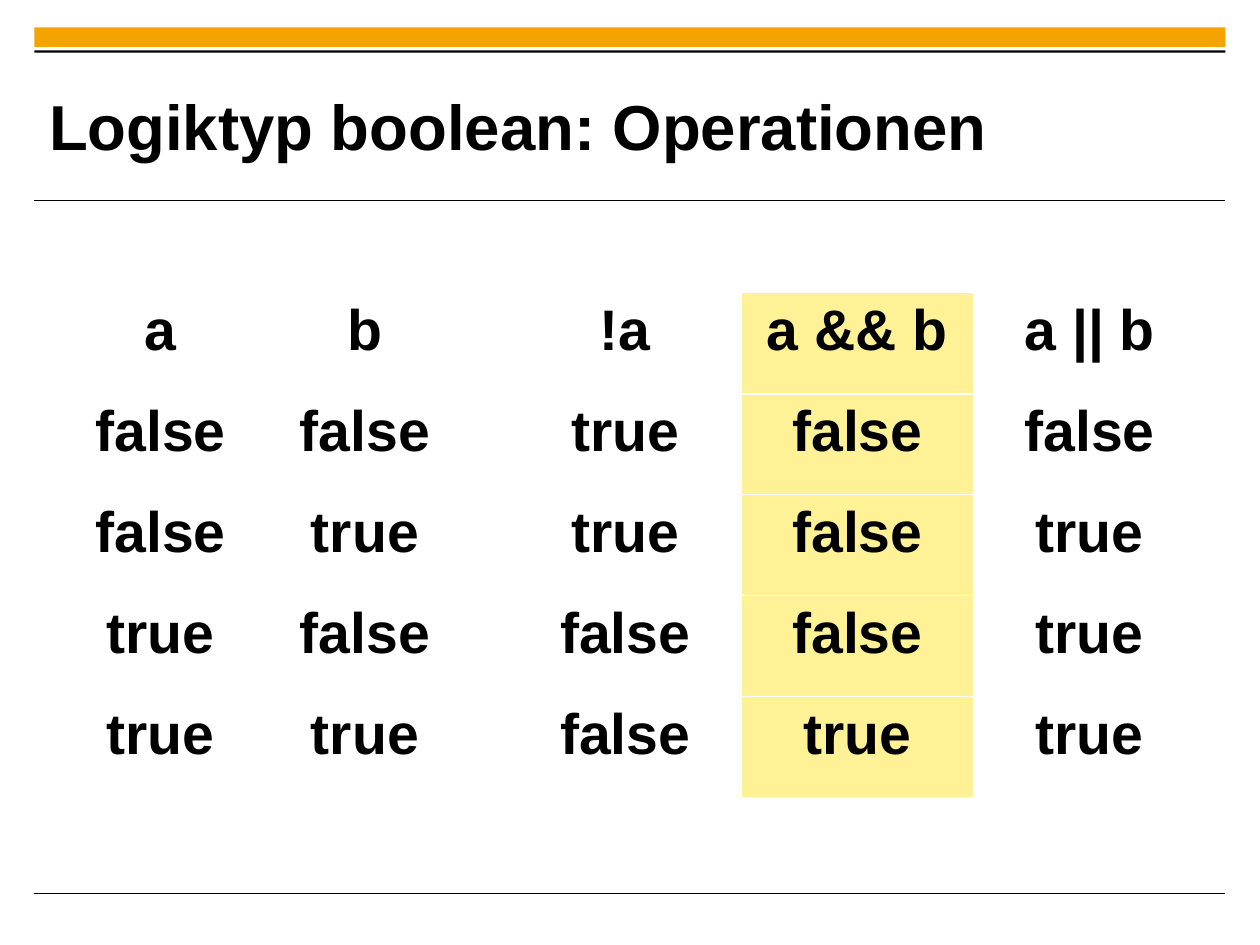
"""Build the slide on the operations of the logic type boolean."""
from dataclasses import dataclass

from lxml import etree
from pptx import Presentation
from pptx import util as u
from pptx.dml import color
from pptx.enum import shapes, text
from pptx.oxml import ns

COLORS = {"accent": "F5A300", "ink": "000000", "paper": "FFFFFF", "highlight": "FFF296"}
CM_PER_INCH = 2.54
SLIDE_WIDTH, SLIDE_HEIGHT = 28 / CM_PER_INCH, 21 / CM_PER_INCH
LEFT, WIDTH = 0.3, 10.42
TABLE_WIDTH, TABLE_HEIGHT = 10.16, 4.42
THIN, THICK = 0.45, 1.47
HIGHLIGHTED = "a && b"
TRUTH_TABLE = [
    ["a", "b", "!a", HIGHLIGHTED, "a || b"],
    ["false", "false", "true", "false", "false"],
    ["false", "true", "true", "false", "true"],
    ["true", "false", "false", "false", "true"],
    ["true", "true", "false", "true", "true"],
]


@dataclass
class Band:
    top: float
    height: float
    color: str


BANDS = [Band(0.24, 0.17, "accent"), Band(0.44, 0.02, "ink")]
RULE_TOPS = [1.75, 7.82]


def rgb(name: str) -> color.RGBColor:
    return color.RGBColor.from_string(COLORS[name])


def apply(target, values: dict) -> None:
    for attribute, value in values.items():
        setattr(target, attribute, value)


def style_font(font, size: float) -> None:
    apply(font, {"name": "Arial", "size": u.Pt(size), "bold": True})
    font.color.rgb = rgb("ink")


def draw_band(slide, band: Band) -> None:
    bar = slide.shapes.add_shape(
        shapes.MSO_SHAPE.RECTANGLE, u.Inches(LEFT), u.Inches(band.top),
        u.Inches(WIDTH), u.Inches(band.height))
    bar.shadow.inherit = False
    bar.fill.solid()
    bar.fill.fore_color.rgb = rgb(band.color)
    bar.line.fill.background()


def draw_rule(slide, top: float) -> None:
    rule = slide.shapes.add_connector(
        shapes.MSO_CONNECTOR.STRAIGHT, u.Inches(LEFT), u.Inches(top),
        u.Inches(LEFT + WIDTH), u.Inches(top))
    rule.line.color.rgb = rgb("ink")
    rule.line.width = u.Pt(0.6)
    etree.SubElement(rule._element.spPr, ns.qn("a:effectLst"))


def draw_heading(slide) -> None:
    heading = slide.shapes.title
    apply(heading, {"left": u.Inches(0.43), "top": u.Inches(0.59),
                    "width": u.Inches(8.29), "height": u.Inches(1.01)})
    frame = heading.text_frame
    frame.text = "Logiktyp boolean: Operationen"
    apply(frame, {"margin_left": 0, "margin_right": 0, "margin_top": 0, "margin_bottom": 0,
                  "word_wrap": True, "auto_size": text.MSO_AUTO_SIZE.NONE,
                  "vertical_anchor": text.MSO_ANCHOR.MIDDLE})
    sentence = frame.paragraphs[0]
    sentence.alignment = text.PP_ALIGN.LEFT
    style_font(sentence.runs[0].font, 40)


def set_borders(cell, widths: dict) -> None:
    properties = cell._tc.get_or_add_tcPr()
    for position, (side, width) in enumerate(widths.items()):
        border = etree.Element(ns.qn(f"a:ln{side}"), w=str(int(u.Pt(width))))
        fill = etree.SubElement(border, ns.qn("a:solidFill"))
        etree.SubElement(fill, ns.qn("a:srgbClr"), val=COLORS["paper"])
        properties.insert(position, border)


def draw_truth_table(slide) -> None:
    header = TRUTH_TABLE[0]
    rows, columns = len(TRUTH_TABLE), len(header)
    grid = slide.shapes.add_table(
        rows, columns, u.Inches(0.39), u.Inches(2.56),
        u.Inches(TABLE_WIDTH), u.Inches(TABLE_HEIGHT)).table
    apply(grid, {"first_row": False, "horz_banding": False})
    for row_index, values in enumerate(TRUTH_TABLE):
        for column_index, (operation, value) in enumerate(zip(header, values)):
            cell = grid.cell(row_index, column_index)
            cell.text = value
            apply(cell, {"margin_left": u.Inches(0.1), "margin_top": u.Inches(0.05),
                         "margin_right": u.Inches(0.59 if operation == "b" else 0.1),
                         "margin_bottom": u.Inches(0.05),
                         "vertical_anchor": text.MSO_ANCHOR.TOP})
            cell.fill.solid()
            cell.fill.fore_color.rgb = rgb("highlight" if operation == HIGHLIGHTED else "paper")
            set_borders(cell, {"L": THIN, "R": THIN,
                               "T": THICK if row_index == 1 else THIN,
                               "B": THICK if row_index == 0 else THIN})
            entry = cell.text_frame.paragraphs[0]
            entry.alignment = text.PP_ALIGN.CENTER
            style_font(entry.runs[0].font, 36)


def main() -> None:
    deck = Presentation()
    apply(deck, {"slide_width": u.Inches(SLIDE_WIDTH), "slide_height": u.Inches(SLIDE_HEIGHT)})
    slide = deck.slides.add_slide(deck.slide_layouts[5])
    for band in BANDS:
        draw_band(slide, band)
    for top in RULE_TOPS:
        draw_rule(slide, top)
    draw_heading(slide)
    draw_truth_table(slide)
    deck.save("out.pptx")


if __name__ == "__main__":
    main()
